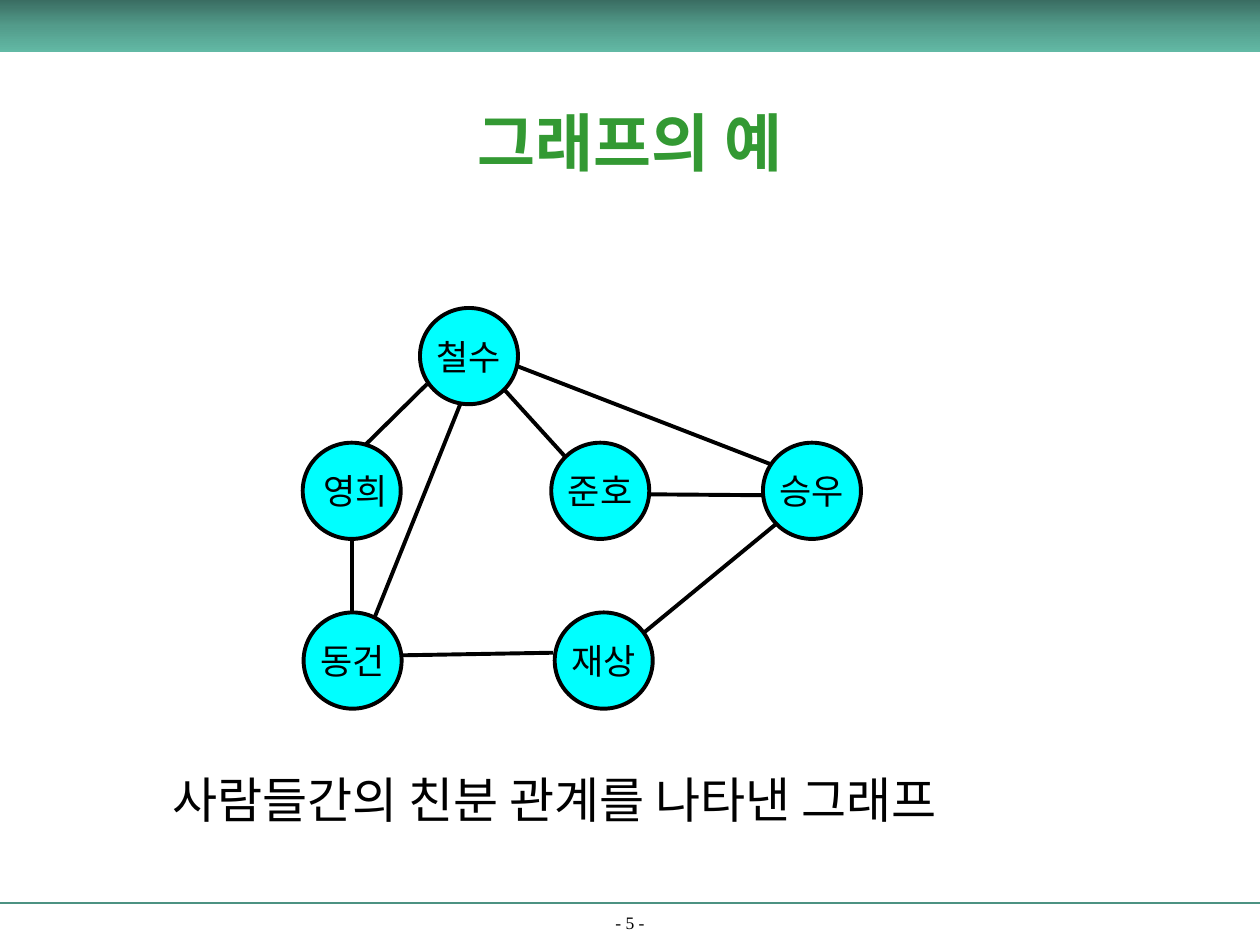
from pptx import Presentation
from pptx.dml.color import RGBColor
from pptx.enum.shapes import MSO_CONNECTOR as CONN, MSO_SHAPE as SHAPE
from pptx.enum.text import MSO_ANCHOR as ANCHOR, PP_ALIGN as ALIGN
from pptx.oxml.ns import qn
from pptx.util import Pt
from lxml import etree

COLORS = {"black": "000000", "node": "00FFFF", "title": "339933", "rule": "4C9282",
          "dark": "3A6D62", "middle": "539C8B", "light": "62B9A5"}
KOREAN = "Noto Sans CJK KR"
NODE_W, NODE_H = 56, 55
PEOPLE = [("철수", 240, 176), (" 영희", 173, 253), ("준호", 315, 253),
          ("승우", 436, 253), ("동건", 173.5, 350), ("재상", 317, 350)]
FRIENDSHIPS = [(209, 254, 244, 219.5), (295, 209, 441, 265.5), (288, 222.5, 323, 261),
               (228.5, 374.5, 316, 373), (371.5, 282.5, 436, 283), (368, 361.5, 444, 299),
               (201, 308, 201, 350), (263, 231, 214, 353)]


class Deck:
    """Holds the style and the current slide and draws each kind of element."""

    def __init__(self):
        self.prs = Presentation()
        self.prs.slide_width, self.prs.slide_height = Pt(720), Pt(540)
        self.s = self.prs.slides.add_slide(self.prs.slide_layouts[6])

    def color(self, name):
        return RGBColor.from_string(COLORS[name])

    def set_text(self, sp, text, size, font, color="black", align=ALIGN.CENTER,
                 anchor=ANCHOR.MIDDLE, wrap=True, bold=False):
        tf = sp.text_frame
        tf.text = text
        tf.word_wrap, tf.vertical_anchor = wrap, anchor
        p = tf.paragraphs[0]
        p.alignment = align
        r = p.runs[0]
        r.font.size, r.font.name, r.font.bold = Pt(size), font, bold
        r.font.color.rgb = self.color(color)
        etree.SubElement(r.font._element, qn("a:ea"), typeface=KOREAN)

    def text(self, x, y, w, h, text, size, font, **style):
        sp = self.s.shapes.add_textbox(Pt(x), Pt(y), Pt(w), Pt(h))
        self.set_text(sp, text, size, font, **style)

    def line(self, x1, y1, x2, y2, color="black", width=2.25):
        c = self.s.shapes.add_connector(CONN.STRAIGHT, Pt(x1), Pt(y1), Pt(x2), Pt(y2))
        c.line.color.rgb, c.line.width = self.color(color), Pt(width)
        etree.SubElement(c._element.spPr, qn("a:effectLst"))

    def node(self, name, x, y):
        sp = self.s.shapes.add_shape(SHAPE.OVAL, Pt(x), Pt(y), Pt(NODE_W), Pt(NODE_H))
        sp.shadow.inherit = False
        sp.fill.solid()
        sp.fill.fore_color.rgb = self.color("node")
        sp.line.color.rgb, sp.line.width = self.color("black"), Pt(2.25)
        self.set_text(sp, name, 20, KOREAN, wrap=False)

    def band(self, x, y, w, h):
        sp = self.s.shapes.add_shape(SHAPE.RECTANGLE, Pt(x), Pt(y), Pt(w), Pt(h))
        sp.shadow.inherit = False
        sp.line.fill.background()
        sp.fill.gradient()
        sp.fill.gradient_angle = 270
        first, last = sp.fill.gradient_stops
        first.position, last.position = 0, 1
        first.color.rgb, last.color.rgb = self.color("dark"), self.color("light")
        middle = etree.Element(qn("a:gs"), pos="50000")
        etree.SubElement(middle, qn("a:srgbClr"), val=COLORS["middle"])
        sp._element.spPr.find(".//" + qn("a:gsLst")).insert(1, middle)


def main():
    deck = Deck()
    deck.line(0, 516, 720, 516, "rule", 1.5)
    deck.text(0, 521, 720, 16, "- 5 -", 10, "Times New Roman", anchor=ANCHOR.BOTTOM)
    deck.band(0, 0, 720, 30)
    deck.text(54, 35.5, 612, 90, "그래프의 예", 36, "Times New Roman", color="title", bold=True)
    for ends in FRIENDSHIPS:
        deck.line(*ends)
    for person in PEOPLE:
        deck.node(*person)
    deck.text(91.5, 436, 493, 41, "사람들간의 친분 관계를 나타낸 그래프", 28, "Arial",
              align=ALIGN.LEFT, anchor=ANCHOR.TOP, wrap=False)
    deck.prs.save("out.pptx")


if __name__ == "__main__":
    main()
